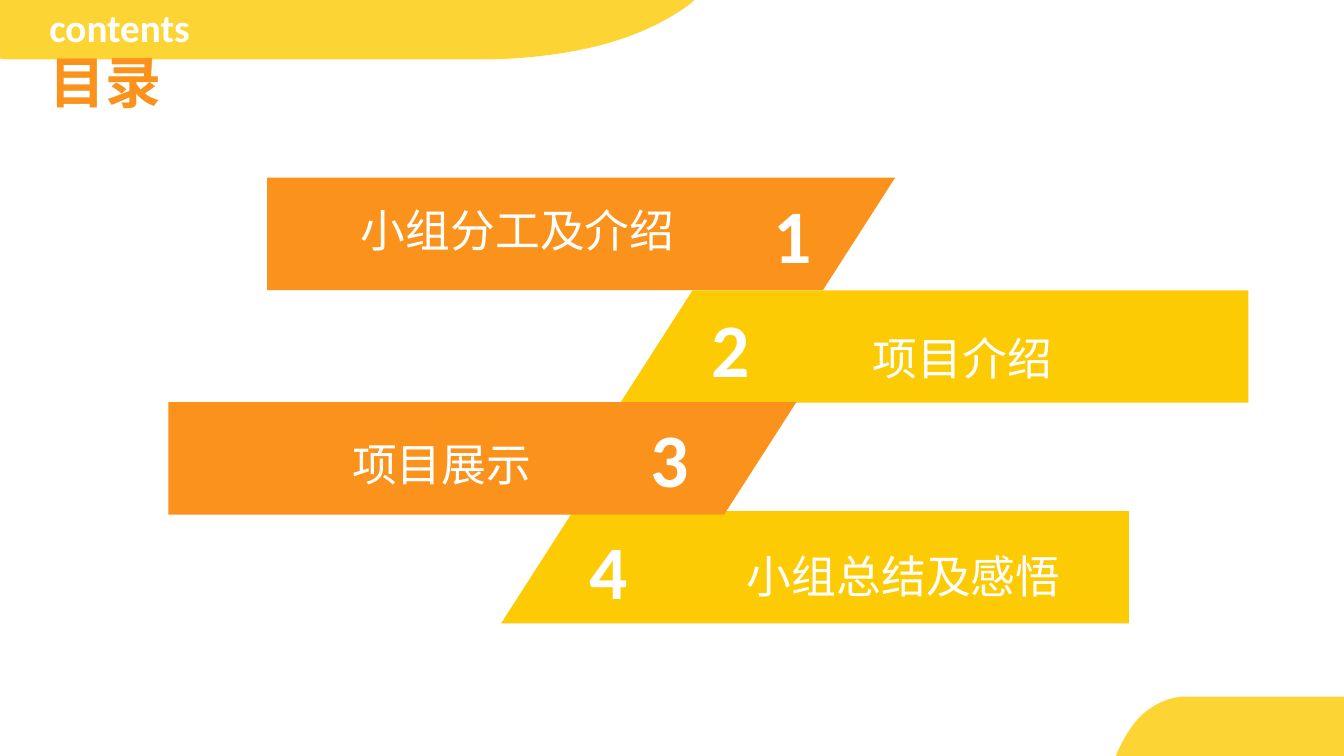
"""Builds the contents slide: four slanted bands with numbers and titles."""
from dataclasses import dataclass

import lxml.etree
import pptx
import pptx.dml.color
import pptx.enum.text
import pptx.oxml
import pptx.oxml.ns
import pptx.util

YELLOW = pptx.dml.color.RGBColor(0xFC, 0xCB, 0x03)
ORANGE = pptx.dml.color.RGBColor(0xFA, 0x92, 0x1B)
WHITE = pptx.dml.color.RGBColor(0xFF, 0xFF, 0xFF)
LATIN = "Calibri"
CHINESE = "Noto Sans CJK JP"
LEFT = pptx.enum.text.PP_ALIGN.LEFT
RIGHT = pptx.enum.text.PP_ALIGN.RIGHT
TOP = pptx.enum.text.MSO_ANCHOR.TOP
MIDDLE = pptx.enum.text.MSO_ANCHOR.MIDDLE

SLIDE_WIDTH = pptx.util.Inches(13.33)
SLIDE_HEIGHT = pptx.util.Inches(7.5)
COLUMN = SLIDE_WIDTH / 100
ROW = SLIDE_HEIGHT / 100

BAND_WIDTH, BAND_HEIGHT, SLANT = 46.72, 14.87, 5.37
CURVE_STEPS = 24

Point = tuple[float, float]


@dataclass
class Band:
    """A slanted band; places are in columns and rows, offsets from its corner."""
    number: str
    title: str
    left: float
    top: float
    number_offset: Point
    title_offset: Point
    title_width: float = 34.73
    slant_right: bool = False
    align: pptx.enum.text.PP_ALIGN = LEFT
    line_spacing: float = 1.3


BANDS = [
    Band("2", "项目介绍", 46.16, 38.4, (6.04, 0.93), (18.04, 2.53)),
    Band("4", "小组总结及感悟", 37.28, 67.6, (5.85, 1.07), (17.55, 2.13)),
    Band("1", "小组分工及介绍", 19.88, 23.5, (36.97, 0.77), (6.22, 2.63),
         title_width=28.73, slant_right=True, line_spacing=1.0),
    Band("3", "项目展示", 12.53, 53.2, (35.17, 0.67), (-6.98, 1.73),
         slant_right=True, align=RIGHT),
]


def curve(start: Point, first: Point, second: Point, end: Point) -> list[Point]:
    """Returns points along a cubic curve, from start to end."""
    points = []
    for step in range(CURVE_STEPS + 1):
        t = step / CURVE_STEPS
        weights = ((1 - t) ** 3, 3 * t * (1 - t) ** 2, 3 * t * t * (1 - t), t ** 3)
        controls = (start, first, second, end)
        points.append(tuple(
            sum(weight * control[axis] for weight, control in zip(weights, controls))
            for axis in (0, 1)))
    return points


def add_outline(page, points: list[Point], color, opacity: int = 100) -> None:
    """Draws a filled closed outline through grid points."""
    corners = [(round(x * COLUMN), round(y * ROW)) for x, y in points]
    builder = page.shapes.build_freeform(*corners[0])
    builder.add_line_segments(corners[1:], close=True)
    shape = builder.convert_to_shape()
    shape.shadow.inherit = False
    shape.line.fill.background()
    shape.fill.solid()
    shape.fill.fore_color.rgb = color
    if opacity < 100:
        swatch = shape.fill._xPr.find(".//" + pptx.oxml.ns.qn("a:srgbClr"))
        alpha = lxml.etree.SubElement(swatch, pptx.oxml.ns.qn("a:alpha"))
        alpha.set("val", str(opacity * 1000))


def add_text(page, text: str, *, left: float, top: float, width: float, height: float,
             size: float, font: str = LATIN, color=WHITE, bold: bool = False,
             align=LEFT, anchor=TOP, line_spacing: float = 1.0,
             wrap: bool = True) -> None:
    """Adds one line of text in a box placed on the grid."""
    box = page.shapes.add_textbox(round(left * COLUMN), round(top * ROW),
                                  round(width * COLUMN), round(height * ROW))
    frame = box.text_frame
    frame.word_wrap = wrap
    frame.vertical_anchor = anchor
    para = frame.paragraphs[0]
    para.alignment = align
    para.line_spacing = line_spacing
    span = para.add_run()
    span.text = text
    span.font.size = pptx.util.Pt(size)
    span.font.bold = bold
    span.font.color.rgb = color
    span.font.name = font
    east_asian = lxml.etree.SubElement(span.font._element, pptx.oxml.ns.qn("a:ea"))
    east_asian.set("typeface", font)


def add_band(page, band: Band) -> None:
    """Draws a band with its number and title."""
    left, top = band.left, band.top
    right, bottom = left + BAND_WIDTH, top + BAND_HEIGHT
    if band.slant_right:
        points = [(left, top), (right, top), (right - SLANT, bottom), (left, bottom)]
    else:
        points = [(left + SLANT, top), (right, top), (right, bottom), (left, bottom)]
    add_outline(page, points, ORANGE if band.slant_right else YELLOW)
    add_text(page, band.number, left=left + band.number_offset[0],
             top=top + band.number_offset[1], width=4.43, height=13.47,
             size=54, bold=True, wrap=False)
    add_text(page, band.title, left=left + band.title_offset[0],
             top=top + band.title_offset[1], width=band.title_width, height=9.73,
             size=32, font=CHINESE, align=band.align, line_spacing=band.line_spacing)


def add_corners(page) -> None:
    """Draws the two curved corner shapes."""
    header = [(0, 0), (51.68, 0)]
    header += curve((51.23, 0.67), (49.5, 2.93), (47.25, 4.8), (44.63, 6))
    header += curve((44.63, 6), (42, 7.2), (38.93, 7.87), (35.48, 7.87))
    header += [(0.45, 7.87), (0, 7.73)]
    footer = [(100, 100), (83.03, 100)]
    footer += curve((83.18, 99.33), (83.78, 97.07), (84.45, 95.2), (85.35, 94))
    footer += curve((85.35, 94), (86.25, 92.8), (87.23, 92.13), (88.35, 92.13))
    footer += [(100, 92.13)]
    for points in (header, footer):
        add_outline(page, points, YELLOW, opacity=80)


def main() -> None:
    """Builds and saves the deck."""
    deck = pptx.Presentation()
    deck.slide_width, deck.slide_height = SLIDE_WIDTH, SLIDE_HEIGHT
    page = deck.slides.add_slide(deck.slide_layouts[6])
    add_corners(page)
    add_text(page, "contents", left=2.93, top=0.53, width=17.63, height=6.8, size=28,
             bold=True, anchor=MIDDLE, line_spacing=0.9)
    add_text(page, "目录", left=2.93, top=7.87, width=28.05, height=6.8, size=40,
             color=ORANGE, bold=True, anchor=MIDDLE, line_spacing=0.9)
    for band in BANDS:
        add_band(page, band)
    deck.save("out.pptx")


if __name__ == "__main__":
    main()
